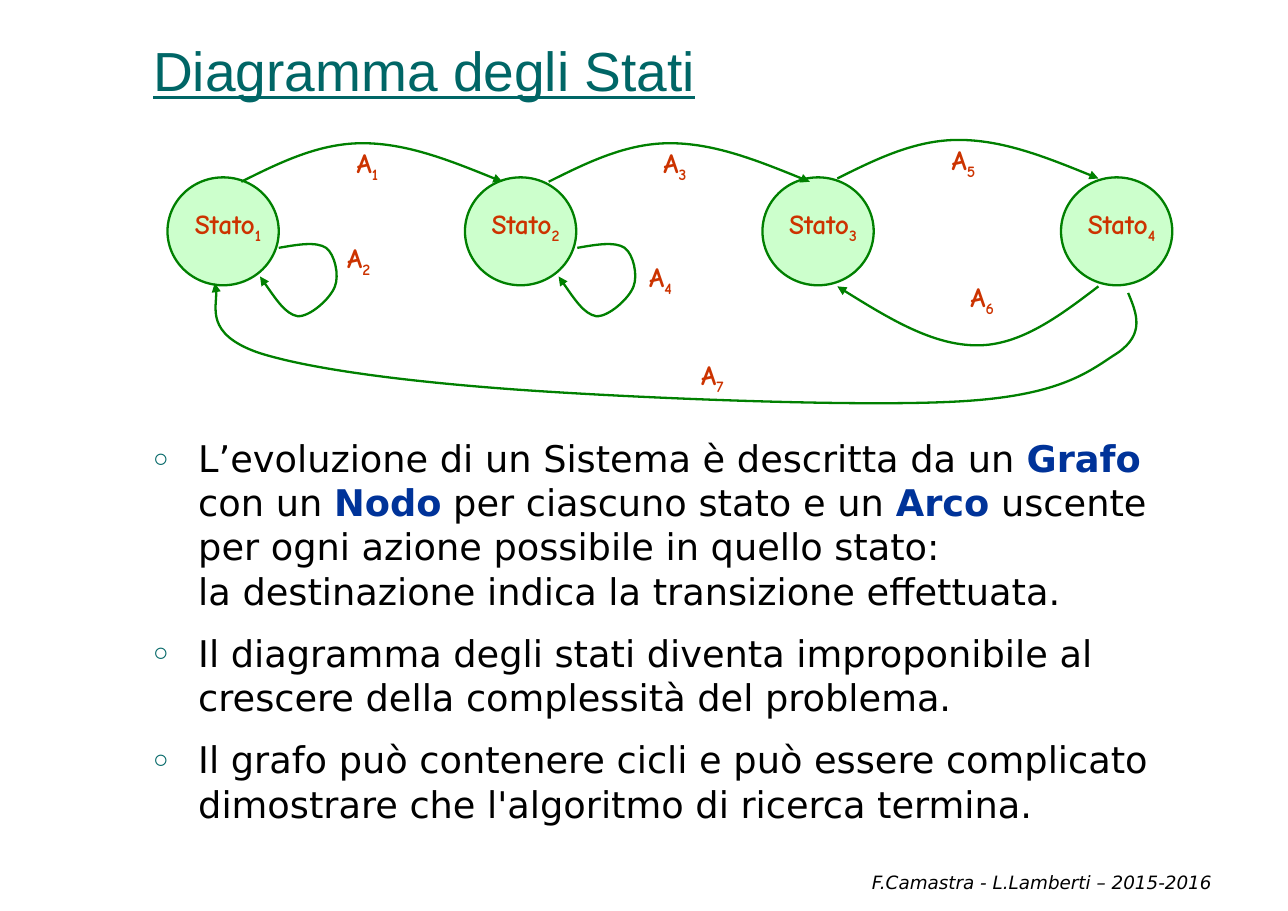
from pptx import Presentation
from pptx.dml.color import RGBColor
from pptx.enum.text import MSO_ANCHOR, PP_ALIGN
from pptx.oxml.ns import qn
from pptx.enum.shapes import MSO_SHAPE
from pptx.util import Pt
from lxml.etree import SubElement

PX = 9144
COLORS = {"teal": "006666", "black": "000000", "blue": "003399",
          "green": "008000", "mint": "CCFFCC", "rust": "CC3300"}
FORMATS = {
    "title": {"name": "Arial", "size": Pt(36), "bold": False, "underline": True},
    "body": {"name": "DejaVu Sans", "size": Pt(24), "bold": False},
    "key": {"name": "DejaVu Sans", "size": Pt(24), "bold": True},
    "footer": {"name": "DejaVu Sans", "size": Pt(12), "italic": True},
    "label": {"name": "Comic Neue", "size": Pt(18), "bold": True},
}
MARGINS = {"margin_left": 11 * PX, "margin_right": 11 * PX,
           "margin_top": 5 * PX, "margin_bottom": 5 * PX}
NO_MARGINS = dict.fromkeys(MARGINS, 0)

HOP = [(0, 0), (36, -18), (71, -35), (110, -35), (150, -35), (193, -18), (237, 0)]
LOOP = [(0, 0), (17, -3), (34, -6), (43, 0), (51, 6), (55, 25), (51, 35),
        (47, 46), (28, 63), (17, 62), (6, 60), (-5, 43), (-17, 26)]
RETURN = [(0, 0), (8, 19), (15, 37), (-9, 54), (-34, 70), (-58, 92), (-146, 98),
          (-234, 104), (-429, 96), (-536, 89), (-643, 82), (-741, 70),
          (-790, 54), (-838, 37), (-824, 2), (-829, -9)]
ARCS = [(HOP, 69, 45, 1, 1), (HOP, 348, 45, 1, 1), (HOP, 610, 42, 1, 1),
        (HOP, 847, 140, -1, -1.53), (LOOP, 103, 105, 1, 1),
        (LOOP, 374, 105, 1, 1), (RETURN, 874, 146, 1, 1)]
ACTIONS = [(120, 13, 127), (146, 99, 59), (399, 13, 127), (407, 116, 85),
           (661, 10, 127), (678, 134, 127), (433, 205, 127)]
BULLETS = [
    [("L’evoluzione di un Sistema è descritta da un ", "body"), ("Grafo ", "key"),
     ("\n", "key"), ("con un ", "body"), ("Nodo", "key"),
     (" per ciascuno stato e un ", "body"), ("Arco", "key"), (" uscente ", "body"),
     ("\n", "body"), ("per ogni azione possibile in quello stato: ", "body"),
     ("\n", "body"), ("la destinazione indica la transizione effettuata.", "body")],
    [("Il diagramma degli stati diventa improponibile al crescere "
      "della complessità del problema.", "body")],
    [("Il grafo può contenere cicli e può essere complicato "
      "dimostrare che l'algoritmo di ricerca termina.", "body")],
]


def set_attributes(target, values):
    """Set every named value on the target."""
    for name, value in values.items():
        setattr(target, name, value)


def rgb(name):
    """Look up a named colour."""
    return RGBColor.from_string(COLORS[name])


def add_run(paragraph, text, style, color):
    """Append a formatted run."""
    run = paragraph.add_run()
    run.text = text
    set_attributes(run.font, FORMATS[style])
    run.font.color.rgb = rgb(color)
    return run


def add_text_box(slide, box, margins):
    """Add an empty wrapping text box and return its frame."""
    frame = slide.shapes.add_textbox(*(value * PX for value in box)).text_frame
    set_attributes(frame, {"word_wrap": True, **margins})
    return frame


def draw_title(slide, box):
    """Place the underlined heading."""
    title = slide.shapes.title
    set_attributes(title, dict(zip(("left", "top", "width", "height"),
                                   (value * PX for value in box))))
    set_attributes(title.text_frame, {
        "word_wrap": True, "vertical_anchor": MSO_ANCHOR.BOTTOM, **MARGINS})
    paragraph = title.text_frame.paragraphs[0]
    paragraph.alignment = PP_ALIGN.LEFT
    add_run(paragraph, "Diagramma degli Stati", "title", "teal")


def draw_label(slide, box, word, number):
    """Write a centred word with a subscript number."""
    paragraph = add_text_box(slide, box, NO_MARGINS).paragraphs[0]
    paragraph.alignment = PP_ALIGN.CENTER
    add_run(paragraph, word, "label", "rust")
    subscript = add_run(paragraph, str(number), "label", "rust")
    subscript.font._element.set("baseline", "-25000")


def draw_outline(shape):
    """Give a shape the green outline without shadow."""
    shape.shadow.inherit = False
    shape.line.color.rgb = rgb("green")
    shape.line.width = Pt(1.5)


def bend(shape):
    """Turn each three line segments of a freeform into one cubic curve."""
    lines = list(shape._element.iter(qn("a:lnTo")))
    outline = lines[0].getparent()
    for first in range(0, len(lines), 3):
        curve = SubElement(outline, qn("a:cubicBezTo"))
        for line in lines[first:first + 3]:
            curve.append(line[0])
            outline.remove(line)


def draw_arc(slide, controls, left, top, scale_x, scale_y):
    """Draw a curved arrow from its start point."""
    points = [((left + x * scale_x) * PX, (top + y * scale_y) * PX)
              for x, y in controls]
    builder = slide.shapes.build_freeform(*points[0])
    builder.add_line_segments(points[1:], close=False)
    arc = builder.convert_to_shape()
    bend(arc)
    arc.fill.background()
    draw_outline(arc)
    SubElement(arc.line._get_or_add_ln(), qn("a:tailEnd"), type="triangle")


def draw_diagram(slide, box):
    """Draw the states, the arcs and the action labels."""
    left, top, width, height = box
    for index in range(4):
        x, y = left + 2 + 811 * index // 3, top + 41
        state = slide.shapes.add_shape(MSO_SHAPE.OVAL, x * PX, y * PX, 101 * PX, 98 * PX)
        state.fill.solid()
        state.fill.fore_color.rgb = rgb("mint")
        draw_outline(state)
        draw_label(slide, (x, y + 27, 110, 44), "Stato", index + 1)
    for controls, x, y, scale_x, scale_y in ARCS:
        draw_arc(slide, controls, left + x, top + y, scale_x, scale_y)
    for number, (x, y, label_width) in enumerate(ACTIONS, 1):
        draw_label(slide, (left + x, top + y, label_width, 44), "A", number)


def add_bullet(paragraph):
    """Add a small teal ring with a hanging indent."""
    properties = paragraph._p.get_or_add_pPr()
    properties.set("marL", str(41 * PX))
    properties.set("indent", str(-41 * PX))
    color = SubElement(properties, qn("a:buClr"))
    SubElement(color, qn("a:srgbClr"), val=COLORS["teal"])
    SubElement(properties, qn("a:buSzPct"), val="70000")
    SubElement(properties, qn("a:buFont"), typeface="Arial")
    SubElement(properties, qn("a:buChar"), char="○")


def draw_body(slide, box):
    """Write the bulleted explanation."""
    frame = add_text_box(slide, box, MARGINS)
    for index, pieces in enumerate(BULLETS):
        paragraph = frame.add_paragraph() if index else frame.paragraphs[0]
        add_bullet(paragraph)
        paragraph.space_before = Pt(6 if index else 0)
        paragraph.space_after = Pt(6 if index < len(BULLETS) - 1 else 0)
        for text, style in pieces:
            if text == "\n":
                paragraph.add_line_break()
            else:
                add_run(paragraph, text, style, "blue" if style == "key" else "black")


def draw_footer(slide, box):
    """Write the authors and the year."""
    frame = add_text_box(slide, box, MARGINS)
    frame.vertical_anchor = MSO_ANCHOR.BOTTOM
    paragraph = frame.paragraphs[0]
    paragraph.alignment = PP_ALIGN.RIGHT
    add_run(paragraph, "F.Camastra - L.Lamberti – 2015-2016", "footer", "black")


def main():
    """Build and save the slide."""
    presentation = Presentation()
    set_attributes(presentation, {"slide_width": 1169 * PX, "slide_height": 827 * PX})
    slide = presentation.slides.add_slide(presentation.slide_layouts[5])
    draw_title(slide, (128, 6, 983, 92))
    draw_diagram(slide, (150, 120, 920, 250))
    draw_body(slide, (128, 391, 1000, 378))
    draw_footer(slide, (399, 768, 712, 48))
    presentation.save("out.pptx")


if __name__ == "__main__":
    main()
